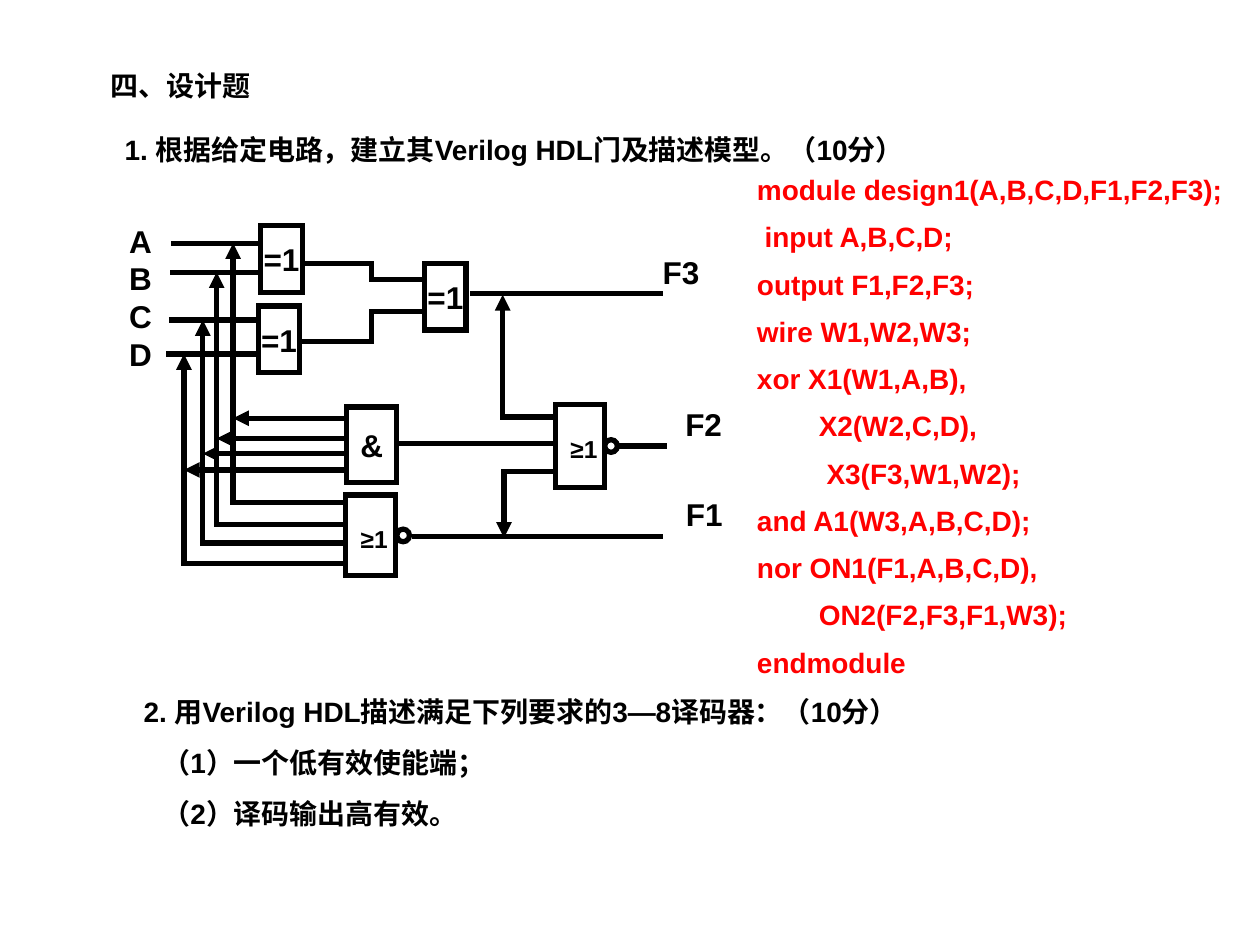
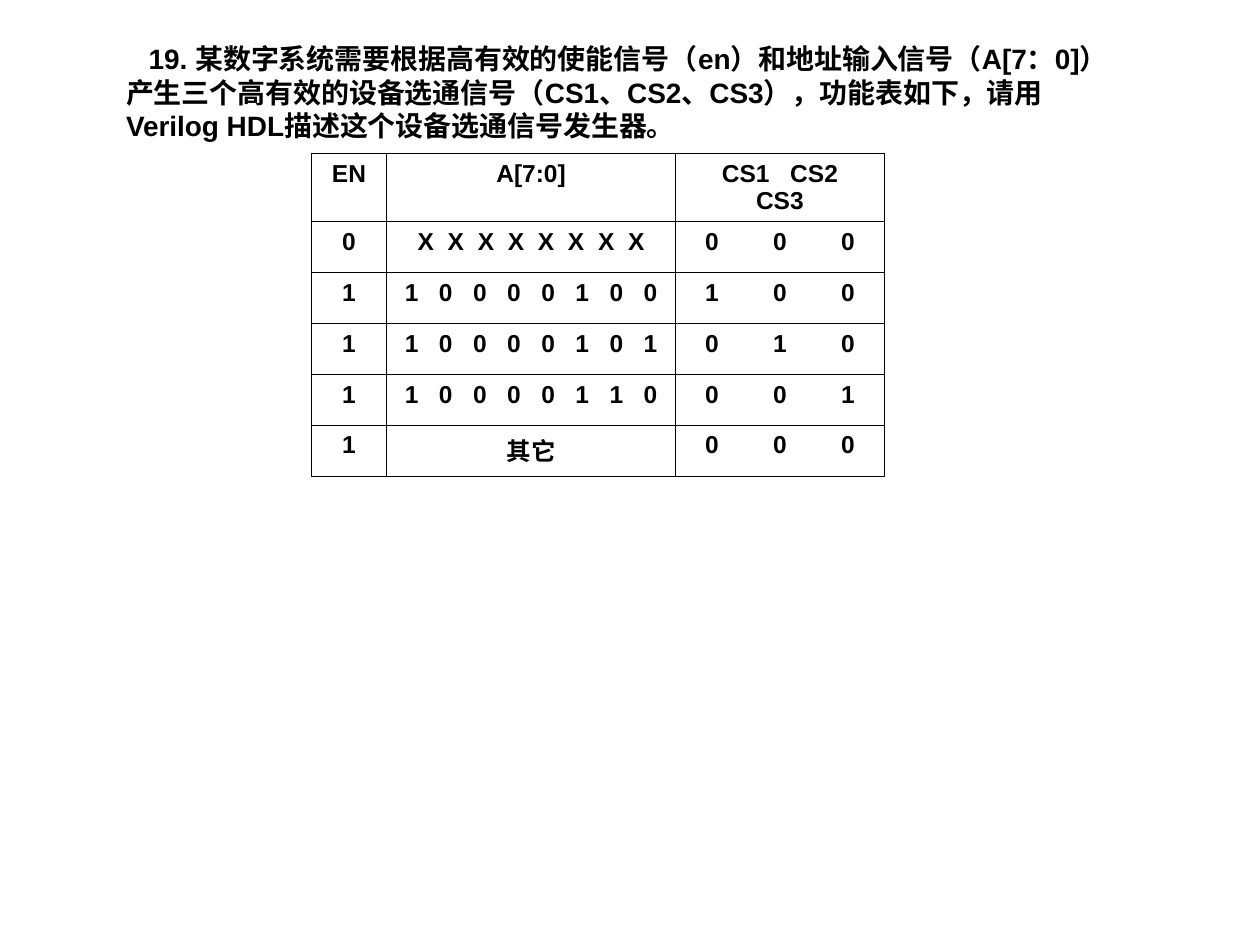
from collections import namedtuple

from lxml import etree
from pptx import Presentation
from pptx.dml.color import RGBColor
from pptx.enum.shapes import MSO_CONNECTOR, MSO_SHAPE
from pptx.enum.text import MSO_ANCHOR, MSO_AUTO_SIZE, PP_ALIGN
from pptx.oxml.ns import qn
from pptx.util import Inches, Pt

LEFT, CENTER = PP_ALIGN.LEFT, PP_ALIGN.CENTER
TOP, MIDDLE = MSO_ANCHOR.TOP, MSO_ANCHOR.MIDDLE
NO_FIT = MSO_AUTO_SIZE.NONE
STRAIGHT = MSO_CONNECTOR.STRAIGHT
RECTANGLE, OVAL = MSO_SHAPE.RECTANGLE, MSO_SHAPE.OVAL

COLUMNS, ROWS = 100, 75
FONT = "Arial"
INK, ANSWER = "000000", "FF0000"
TEXT_SIZE, LABEL_SIZE, SMALL_SIZE = 16, 18, 14
WIRE_WIDTH, BORDER_WIDTH = 3, 0.45
PARAGRAPH_GAP = 10
TASK_INDENT, REQUIREMENT_INDENT = 0.18, 0.15

Box = namedtuple("Box", "left top width height")

MODULE_CODE = [
    "module design1(A,B,C,D,F1,F2,F3);",
    " input A,B,C,D;",
    "output F1,F2,F3;",
    "wire W1,W2,W3;",
    "xor X1(W1,A,B),",
    "        X2(W2,C,D),",
    "         X3(F3,W1,W2);",
    "and A1(W3,A,B,C,D);",
    "nor ON1(F1,A,B,C,D),",
    "        ON2(F2,F3,F1,W3);",
    "endmodule",
]
DECODER_TASK = [
    "2. 用Verilog HDL描述满足下列要求的3—8译码器：（10分）",
    "（1）一个低有效使能端；",
    "（2）译码输出高有效。",
]
SELECT_TASK = (
    "19. 某数字系统需要根据高有效的使能信号（en）和地址输入信号（A[7：0]）"
    "产生三个高有效的设备选通信号（CS1、CS2、CS3），功能表如下，"
    "请用Verilog HDL描述这个设备选通信号发生器。"
)
SELECT_TABLE = [
    ("EN", "A[7:0]", "CS1 CS2 CS3"),
    ("0", "X X X X X X X X", "0 0 0"),
    ("1", "1 0 0 0 0 1 0 0", "1 0 0"),
    ("1", "1 0 0 0 0 1 0 1", "0 1 0"),
    ("1", "1 0 0 0 0 1 1 0", "0 0 1"),
    ("1", "其它", "0 0 0"),
]
TABLE_COLUMNS = (6, 22.9, 16.6)
NAME_GAP, LEVEL_GAP, BIT_GAP, ANY_GAP = 7.8, 27.2, 7.8, 3.9

Tap = namedtuple("Tap", "start end level trunk and_level nor_level")
TAPS = {
    "A": Tap(4.6, 11.8, 3.3, 9.5, 17.2, 23.9),
    "B": Tap(4.5, 11.8, 5.6, 8.2, 18.8, 25.6),
    "C": Tap(4.4, 11.5, 9.4, 7.1, 20, 27.1),
    "D": Tap(4.2, 11.5, 12.1, 5.6, 21.3, 28.7),
}
GATES = [
    ("=1", Box(11.7, 1.9, 3.3, 5.3)),
    ("=1", Box(11.5, 8.3, 3.3, 5.3)),
    ("=1", Box(24.7, 4.9, 3.3, 5.3)),
    ("&", Box(18.5, 16.3, 4, 6)),
    ("≥1", Box(35.1, 16.1, 3.9, 6.6)),
    ("≥1", Box(18.4, 23.3, 4, 6.4)),
]
BUBBLES = [Box(39, 18.9, 1, 1), Box(22.5, 26, 1, 1)]
WIRES = [
    [(15.1, 4.9), (20.5, 4.9), (20.5, 6.2), (24.7, 6.2)],
    [(14.8, 11.1), (20.5, 11.1), (20.5, 8.7), (24.7, 8.7)],
    [(22.5, 19.2), (35.1, 19.2)],
    [(28.3, 7.3), (43.6, 7.3)],
    [(40, 19.4), (43.9, 19.4)],
    [(23.7, 26.6), (43.6, 26.6)],
]
FEEDBACK = [
    [(35.1, 17.1), (30.9, 17.1), (30.9, 7.4)],
    [(35.1, 21.4), (31, 21.4), (31, 26.7)],
]
OUTPUTS = {
    "F3": Box(43.1, 3.8, 3.9, 3.6),
    "F2": Box(45, 15.8, 3.7, 3.7),
    "F1": Box(45.1, 22.8, 3.6, 3.9),
}


def grid(steps):
    return Inches(steps / 10)


def color(hex_string):
    return RGBColor.from_string(hex_string)


def within(outer, inner):
    return Box(outer.left + inner.left, outer.top + inner.top, inner.width, inner.height)


def place(shape, box):
    shape.left, shape.top, shape.width, shape.height = map(grid, box)


def write(frame, lines, size=TEXT_SIZE, ink=INK, align=LEFT, gap=0, leading=None, first_indent=0, word_gap=0):
    for index, line in enumerate(lines):
        paragraph = frame.paragraphs[0] if index == 0 else frame.add_paragraph()
        paragraph.alignment = align
        paragraph.space_before = Pt(gap if index else 0)
        if leading:
            paragraph.line_spacing = Pt(leading)
        properties = paragraph._p.get_or_add_pPr()
        properties.set("marL", "0")
        properties.set("indent", str(Inches(first_indent)))
        etree.SubElement(properties, qn("a:buNone"))
        for part in line.replace(" ", "| |").split("|") if word_gap else [line]:
            run = paragraph.add_run()
            run.text = part
            run.font.name, run.font.size, run.font.bold = FONT, Pt(size), True
            run.font.color.rgb = color(ink)
            if part == " ":
                run._r.get_or_add_rPr().set("spc", str(round(word_gap * 100)))


def fill_text(shape, box, lines, anchor=TOP, wrap=True, **text_format):
    place(shape, box)
    frame = shape.text_frame
    frame.auto_size, frame.word_wrap, frame.vertical_anchor = NO_FIT, wrap, anchor
    write(frame, lines, **text_format)
    return frame


def add_text(slide, box, lines, **text_format):
    return fill_text(slide.shapes.add_textbox(0, 0, 0, 0), box, lines, **text_format)


def add_label(slide, box, lines):
    add_text(slide, box, lines, anchor=MIDDLE, wrap=False, size=LABEL_SIZE, align=CENTER)


def add_outline(slide, kind, box):
    outline = slide.shapes.add_shape(kind, *map(grid, box))
    outline.shadow.inherit = False
    outline.fill.background()
    outline.line.color.rgb = color(INK)
    outline.line.width = Pt(WIRE_WIDTH)
    etree.SubElement(outline.line._get_or_add_ln(), qn("a:miter"), lim="800000")
    return outline


def add_gate(slide, box, symbol):
    gate = add_outline(slide, RECTANGLE, box)
    is_or = symbol == "≥1"
    frame = fill_text(gate, box, [symbol], anchor=MIDDLE, wrap=False, align=CENTER,
                      size=SMALL_SIZE if is_or else LABEL_SIZE)
    frame.margin_left = Inches(0.06 if is_or else 0)
    frame.margin_top = Inches(0.05 if is_or else 0)
    frame.margin_right = frame.margin_bottom = 0


def add_wire(slide, circuit, points, arrow=False):
    corners = [(grid(circuit.left + x), grid(circuit.top + y)) for x, y in points]
    for start, end in zip(corners, corners[1:]):
        wire = slide.shapes.add_connector(STRAIGHT, *start, *end)
        wire.line.color.rgb = color(INK)
        wire.line.width = Pt(WIRE_WIDTH)
        outline = wire.line._get_or_add_ln()
        if end != corners[-1]:
            outline.set("cap", "sq")
        elif arrow:
            etree.SubElement(outline, qn("a:tailEnd"), type="triangle")
        etree.SubElement(wire._element.spPr, qn("a:effectLst"))


def draw_circuit(slide, circuit):
    for symbol, box in GATES:
        add_gate(slide, within(circuit, box), symbol)
    for box in BUBBLES:
        add_outline(slide, OVAL, within(circuit, box))
    for tap in TAPS.values():
        add_wire(slide, circuit, [(tap.start, tap.level), (tap.end, tap.level)])
        add_wire(slide, circuit, [(18.5, tap.and_level), (tap.trunk, tap.and_level)], arrow=True)
        add_wire(slide, circuit, [(18.4, tap.nor_level), (tap.trunk, tap.nor_level),
                                  (tap.trunk, tap.level)], arrow=True)
    for points in WIRES:
        add_wire(slide, circuit, points)
    for points in FEEDBACK:
        add_wire(slide, circuit, points, arrow=True)
    add_label(slide, within(circuit, Box(0.6, 0.6, 3.1, 14)), list(TAPS))
    for output, box in OUTPUTS.items():
        add_label(slide, within(circuit, box), [output])


def border_cell(cell):
    cell.fill.background()
    properties = cell._tc.get_or_add_tcPr()
    for index, side in enumerate(("lnL", "lnR", "lnT", "lnB")):
        border = etree.Element(qn("a:" + side), w=str(Pt(BORDER_WIDTH)))
        fill = etree.SubElement(border, qn("a:solidFill"))
        etree.SubElement(fill, qn("a:srgbClr"), val=INK)
        properties.insert(index, border)


def signal_gap(value):
    if " " not in value:
        return 0
    if value.startswith("CS"):
        return NAME_GAP
    if value.startswith("X"):
        return ANY_GAP
    return LEVEL_GAP if len(value.split()) == 3 else BIT_GAP


def draw_select_table(slide, box):
    table = slide.shapes.add_table(len(SELECT_TABLE), len(TABLE_COLUMNS), *map(grid, box)).table
    table.first_row = table.horz_banding = False
    for column, width in zip(table.columns, TABLE_COLUMNS):
        column.width = grid(width)
    for row, values in enumerate(SELECT_TABLE):
        for column, value in enumerate(values):
            cell = table.cell(row, column)
            border_cell(cell)
            write(cell.text_frame, [value], size=SMALL_SIZE, align=CENTER, word_gap=signal_gap(value))


def build_design_slide(deck):
    slide = deck.slides.add_slide(deck.slide_layouts[1])
    fill_text(slide.shapes.title, Box(7.8, 4.9, 69.6, 3.7), ["四、设计题"])
    add_text(slide, Box(8.9, 10, 69.4, 3.7),
             ["1. 根据给定电路，建立其Verilog HDL门及描述模型。（10分）"])
    draw_circuit(slide, Box(9, 16, 49, 31))
    task = fill_text(slide.placeholders[1], Box(10.4, 54.6, 66.5, 11.8), DECODER_TASK, gap=PARAGRAPH_GAP)
    for requirement in task.paragraphs[1:]:
        requirement._p.pPr.set("marL", str(Inches(REQUIREMENT_INDENT)))
    add_text(slide, Box(59.1, 13.5, 39.6, 40.9), MODULE_CODE, ink=ANSWER, gap=PARAGRAPH_GAP, leading=17)


def build_select_slide(deck):
    slide = deck.slides.add_slide(deck.slide_layouts[5])
    fill_text(slide.shapes.title, Box(9, 2.8, 80.5, 9), [SELECT_TASK], first_indent=TASK_INDENT)
    draw_select_table(slide, Box(24.7, 12.2, 45.5, 24.3))


def main():
    deck = Presentation()
    deck.slide_width, deck.slide_height = grid(COLUMNS), grid(ROWS)
    build_design_slide(deck)
    build_select_slide(deck)
    deck.save("out.pptx")


if __name__ == "__main__":
    main()
